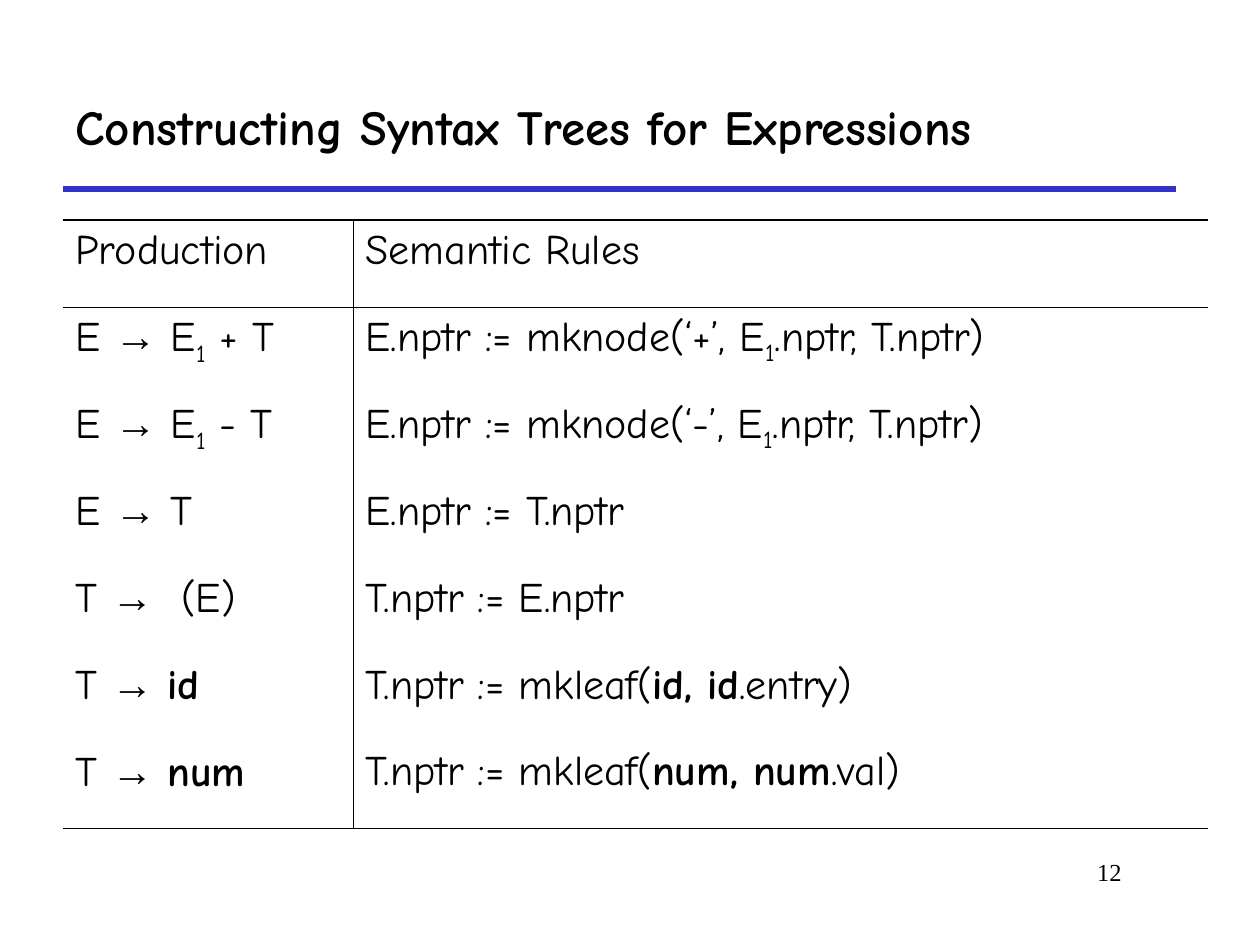
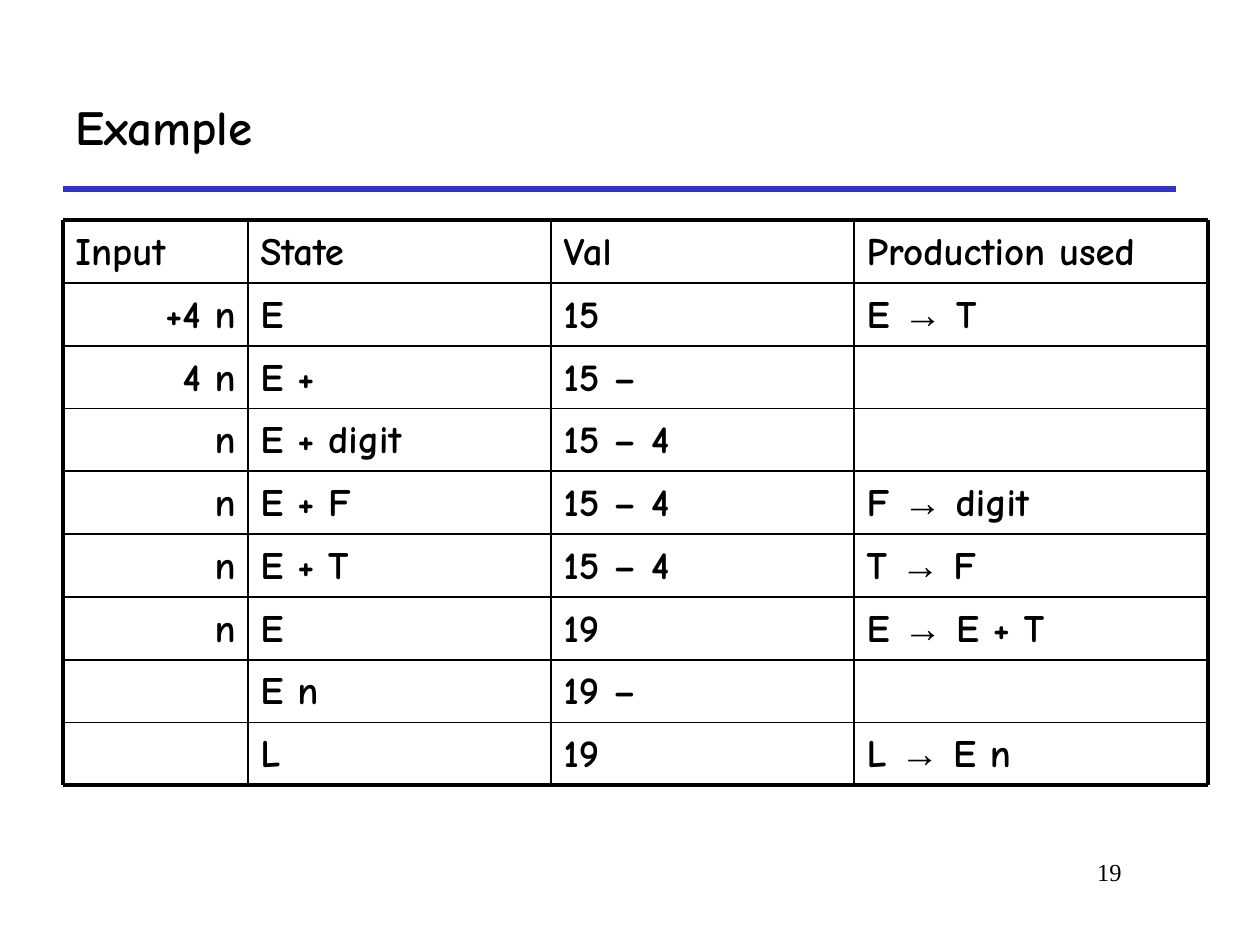
from dataclasses import dataclass, field
from itertools import accumulate, groupby

from lxml import etree
from pptx import Presentation
from pptx.dml.color import RGBColor
from pptx.enum.shapes import MSO_CONNECTOR
from pptx.enum.text import MSO_ANCHOR, PP_ALIGN
from pptx.oxml.ns import qn
from pptx.util import Cm, Pt

LEFT, RIGHT = PP_ALIGN.LEFT, PP_ALIGN.RIGHT
TOP, MIDDLE = MSO_ANCHOR.TOP, MSO_ANCHOR.MIDDLE
STRAIGHT = MSO_CONNECTOR.STRAIGHT

COLORS = {"ink": "000000", "rule": "3333CC"}
MAIN, SYMBOL, FOOT = "Comic Neue", "Arial", "Times New Roman"
INSETS = {"margin_left": Cm(0.25), "margin_right": Cm(0.25),
          "margin_top": Cm(0.13), "margin_bottom": Cm(0.13)}
EDGE, HEAD, WIDE = 1.27, 1.27, 22.43
RULE_Y, GRID_Y = 3.81, 4.44
SUB = "₁"


@dataclass(frozen=True)
class Grid:
    """Cell texts and sizes; border weights keyed by grid line index."""
    cells: list[list[str]]
    cols: list[float]
    height: float
    size: float
    bold: bool = False
    anchor: MSO_ANCHOR = TOP
    inset: float = 0.13
    first: PP_ALIGN = LEFT
    across: dict[int, float] = field(default_factory=dict)
    down: dict[int, float] = field(default_factory=dict)
    framed: bool = False


@dataclass(frozen=True)
class Page:
    title: str
    number: int
    grid: Grid


RULES = [
    ["Production", "Semantic Rules"],
    ["E → E₁ + T", "E.nptr := mknode(‘+’, E₁.nptr, T.nptr)"],
    ["E → E₁ - T", "E.nptr := mknode(‘-’, E₁.nptr, T.nptr)"],
    ["E → T", "E.nptr := T.nptr"],
    ["T →  (E)", "T.nptr := E.nptr"],
    ["T → *id*", "T.nptr := mkleaf(*id, id*.entry)"],
    ["T → *num*", "T.nptr := mkleaf(*num, num*.val)"],
]
STEPS = [
    ["Input", "State", "Val", "Production used"],
    ["+4 n", "E", "15", "E → T"],
    ["4 n", "E +", "15 –", ""],
    ["n", "E + digit", "15 – 4", ""],
    ["n", "E + F", "15 – 4", "F → digit"],
    ["n", "E + T", "15 – 4", "T → F"],
    ["n", "E", "19", "E → E + T"],
    ["", "E n", "19 –", ""],
    ["", "L", "19", "L → E n"],
]
PAGES = [
    Page("Constructing Syntax Trees for Expressions", 12,
         Grid(RULES, [5.85, 17.23], 12.27, 24,
              across={0: 1.08, 1: 0.45, len(RULES): 1.08}, down={1: 0.45})),
    Page("Example", 19,
         Grid(STEPS, [3.73, 6.11, 6.11, 7.13], 11.39, 22.2, bold=True,
              anchor=MIDDLE, inset=0.18, first=RIGHT, framed=True)),
]


def apply(target: object, values: dict) -> None:
    for name, value in values.items():
        setattr(target, name, value)


def add_run(para, text: str, size: float, font: str, bold: bool):
    run = para.add_run()
    run.text = text
    apply(run.font, {"size": Pt(size), "name": font, "bold": bold})
    run.font.color.rgb = RGBColor.from_string(COLORS["ink"])
    return run


def write(para, text: str, size: float, bold: bool) -> None:
    """Write text where *stars* mark bold and arrows use the symbol font."""
    for i, part in enumerate(text.split("*")):
        for mark, chars in groupby(part, lambda c: c if c in "→" + SUB else ""):
            words = "".join(chars).replace(SUB, "1")
            font = SYMBOL if mark == "→" else MAIN
            run = add_run(para, words, size, font, bold or i % 2 == 1)
            if mark == SUB:
                run.font._element.set("baseline", "-25000")


def add_line(slide, start: tuple[float, float], end: tuple[float, float],
             color: str, weight: float) -> None:
    line = slide.shapes.add_connector(STRAIGHT, *map(Cm, start + end))
    line.line.width = Pt(weight)
    line.line.color.rgb = RGBColor.from_string(COLORS[color])
    etree.SubElement(line._element.spPr, qn("a:effectLst"))


def set_edge(cell, side: str, weight: float) -> None:
    """Draw one cell border, or clear it when the weight is 0."""
    line = etree.SubElement(cell._tc.get_or_add_tcPr(), qn(f"a:ln{side}"))
    if not weight:
        etree.SubElement(line, qn("a:noFill"))
        return
    line.set("w", str(Pt(weight)))
    fill = etree.SubElement(line, qn("a:solidFill"))
    etree.SubElement(fill, qn("a:srgbClr"), val=COLORS["ink"])


def add_grid(slide, grid: Grid) -> None:
    count = len(grid.cells)
    table = slide.shapes.add_table(
        count, len(grid.cols), Cm(EDGE), Cm(GRID_Y),
        Cm(sum(grid.cols)), Cm(grid.height)).table
    apply(table, {"first_row": False, "horz_banding": False})
    for col, width in zip(table.columns, grid.cols):
        col.width = Cm(width)
    for r, texts in enumerate(grid.cells):
        table.rows[r].height = Cm(grid.height / count)
        for c, text in enumerate(texts):
            cell = table.cell(r, c)
            apply(cell, {**INSETS, "margin_top": Cm(grid.inset),
                         "vertical_anchor": grid.anchor})
            for side, lines, i in (("L", grid.down, c), ("R", grid.down, c + 1),
                                   ("T", grid.across, r), ("B", grid.across, r + 1)):
                set_edge(cell, side, lines.get(i, 0))
            cell.fill.background()
            para = cell.text_frame.paragraphs[0]
            apply(para, {"space_before": Pt(6),
                         "alignment": grid.first if r and not c else LEFT})
            write(para, text, grid.size, grid.bold)


def add_frame(slide, grid: Grid) -> None:
    """Rule the grid with lines, heavier on the outside."""
    count = len(grid.cells)
    xs = list(accumulate(grid.cols, initial=EDGE))
    ys = [GRID_Y + i * grid.height / count for i in range(count + 1)]
    for y in ys:
        add_line(slide, (xs[0], y), (xs[-1], y), "ink",
                 2.25 if y in (ys[0], ys[-1]) else 1)
    for x in xs:
        add_line(slide, (x, ys[0]), (x, ys[-1]), "ink",
                 2.25 if x in (xs[0], xs[-1]) else 1)


def add_title(slide, text: str) -> None:
    title = slide.shapes.title
    apply(title, {"left": Cm(EDGE), "top": Cm(HEAD),
                  "width": Cm(WIDE), "height": Cm(2.54)})
    apply(title.text_frame, {**INSETS, "vertical_anchor": MIDDLE, "word_wrap": True})
    para = title.text_frame.paragraphs[0]
    para.alignment = LEFT
    add_run(para, text, 28, MAIN, True)


def add_foot(slide, number: int) -> None:
    box = slide.shapes.add_textbox(Cm(17.58), Cm(17.15), Cm(5.28), Cm(1.27))
    apply(box.text_frame, {**INSETS, "word_wrap": True})
    para = box.text_frame.paragraphs[0]
    para.alignment = RIGHT
    add_run(para, str(number), 14, FOOT, False)


def main() -> None:
    deck = Presentation()
    apply(deck, {"slide_width": Cm(25.4), "slide_height": Cm(19.05)})
    for page in PAGES:
        slide = deck.slides.add_slide(deck.slide_layouts[5])
        add_line(slide, (EDGE, RULE_Y), (EDGE + WIDE, RULE_Y), "rule", 3)
        add_foot(slide, page.number)
        add_title(slide, page.title)
        add_grid(slide, page.grid)
        if page.grid.framed:
            add_frame(slide, page.grid)
    deck.save("out.pptx")


if __name__ == "__main__":
    main()
